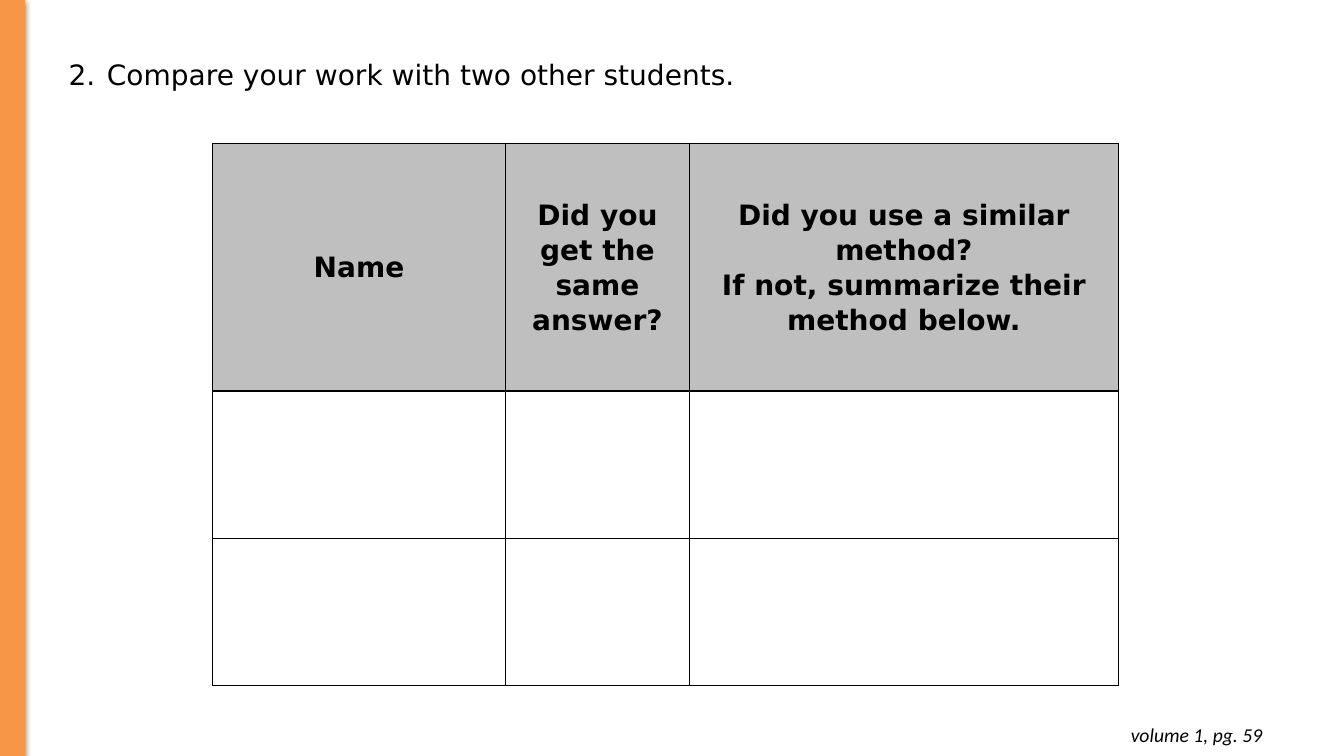
import pptx
import pptx.dml.color
import pptx.enum.shapes
import pptx.enum.text
import pptx.oxml
import pptx.oxml.ns
import pptx.util

BLACK = pptx.dml.color.RGBColor(0x00, 0x00, 0x00)
WHITE = pptx.dml.color.RGBColor(0xFF, 0xFF, 0xFF)
GREY = pptx.dml.color.RGBColor(0xBF, 0xBF, 0xBF)
ORANGE = pptx.dml.color.RGBColor(0xF7, 0x96, 0x47)

SLIDE_W = pptx.util.Inches(13.33)
SLIDE_H = pptx.util.Inches(7.5)
BODY_FONT = "DejaVu Sans"
ALIGN = pptx.enum.text.PP_ALIGN
ANCHOR = pptx.enum.text.MSO_ANCHOR

HEADERS = [
    "Name",
    "Did you get the same answer?",
    "Did you use a similar method?\nIf not, summarize their method below.",
]
COLUMN_SHARES = [21.76, 13.73, 31.88]
ROW_SHARES = [32.8, 19.47, 19.47]


def across(share):
    return round(SLIDE_W * share / 100)


def down(share):
    return round(SLIDE_H * share / 100)


def box(left, top, width, height):
    return across(left), down(top), across(width), down(height)


def add_xml(parent, tag, body="", attrs=""):
    ns = pptx.oxml.ns.nsdecls("a")
    parent.append(pptx.oxml.parse_xml(f"<a:{tag} {ns} {attrs}>{body}</a:{tag}>"))


def style(p, size, name, align, bold=False, italic=False):
    p.alignment = align
    p.font.size = pptx.util.Pt(size)
    p.font.name = name
    p.font.bold = bold
    p.font.italic = italic
    p.font.color.rgb = BLACK


def add_side_bar(slide):
    sp = slide.shapes.add_shape(
        pptx.enum.shapes.MSO_SHAPE.RECTANGLE, *box(0, 0, 1.8, 100)
    )
    sp.fill.solid()
    sp.fill.fore_color.rgb = ORANGE
    sp.line.color.rgb = ORANGE
    sp.line.width = pptx.util.Pt(0.75)
    sp.shadow.inherit = False
    effects = sp._element.spPr.find(pptx.oxml.ns.qn("a:effectLst"))
    add_xml(
        effects,
        "outerShdw",
        '<a:srgbClr val="000000"><a:alpha val="50000"/></a:srgbClr>',
        'blurRad="57150" dist="19050" dir="5400000" rotWithShape="0"',
    )


def add_prompt(slide, text, number):
    sp = slide.shapes.title
    sp.left, sp.top, sp.width, sp.height = box(4.35, 6.67, 90.32, 14.53)
    tf = sp.text_frame
    tf.text = text
    tf.word_wrap = True
    tf.auto_size = pptx.enum.text.MSO_AUTO_SIZE.NONE
    tf.vertical_anchor = ANCHOR.TOP
    p = tf.paragraphs[0]
    p.line_spacing = 1.07
    pPr = p._p.get_or_add_pPr()
    indent = pptx.util.Inches(0.38)
    pPr.set("marL", str(indent))
    pPr.set("indent", str(-indent))
    add_xml(pPr, "buClr", f'<a:srgbClr val="{BLACK}"/>')
    add_xml(pPr, "buAutoNum", attrs=f'type="arabicPeriod" startAt="{number}"')
    style(p, 20, BODY_FONT, ALIGN.LEFT)


def add_page_note(slide, text):
    tf = slide.shapes.add_textbox(*box(73.07, 94.27, 21.6, 5.87)).text_frame
    tf.word_wrap = True
    tf.margin_left = tf.margin_right = pptx.util.Inches(0.1)
    tf.margin_top = tf.margin_bottom = pptx.util.Inches(0.1)
    tf.text = text
    style(tf.paragraphs[0], 14, "Calibri", ALIGN.RIGHT, italic=True)


def format_cell(cell, text, fill):
    cell.text = text
    cell.vertical_anchor = ANCHOR.MIDDLE
    cell.margin_left = cell.margin_right = pptx.util.Inches(0.07)
    cell.margin_top = cell.margin_bottom = 0
    for p in cell.text_frame.paragraphs:
        p.line_spacing = 1.07
        style(p, 20, BODY_FONT, ALIGN.CENTER, bold=True)
    tcPr = cell._tc.get_or_add_tcPr()
    line = f'<a:solidFill><a:srgbClr val="{BLACK}"/></a:solidFill>'
    for side in "LRTB":
        add_xml(tcPr, f"ln{side}", line, f'w="{pptx.util.Pt(1)}"')
    cell.fill.solid()
    cell.fill.fore_color.rgb = fill


def add_comparison_table(slide):
    table = slide.shapes.add_table(
        len(ROW_SHARES), len(COLUMN_SHARES),
        *box(15.83, 18.93, sum(COLUMN_SHARES), sum(ROW_SHARES)),
    ).table
    table.horz_banding = False
    for column, share in zip(table.columns, COLUMN_SHARES):
        column.width = across(share)
    for i, share in enumerate(ROW_SHARES):
        table.rows[i].height = down(share)
        for j, header in enumerate(HEADERS):
            text, fill = (header, GREY) if i == 0 else ("", WHITE)
            format_cell(table.cell(i, j), text, fill)


def main():
    prs = pptx.Presentation()
    prs.slide_width = SLIDE_W
    prs.slide_height = SLIDE_H
    slide = prs.slides.add_slide(prs.slide_layouts.get_by_name("Title Only"))
    add_page_note(slide, "volume 1, pg. 59")
    add_prompt(slide, "Compare your work with two other students.", 2)
    add_side_bar(slide)
    add_comparison_table(slide)
    prs.save("out.pptx")


if __name__ == "__main__":
    main()
